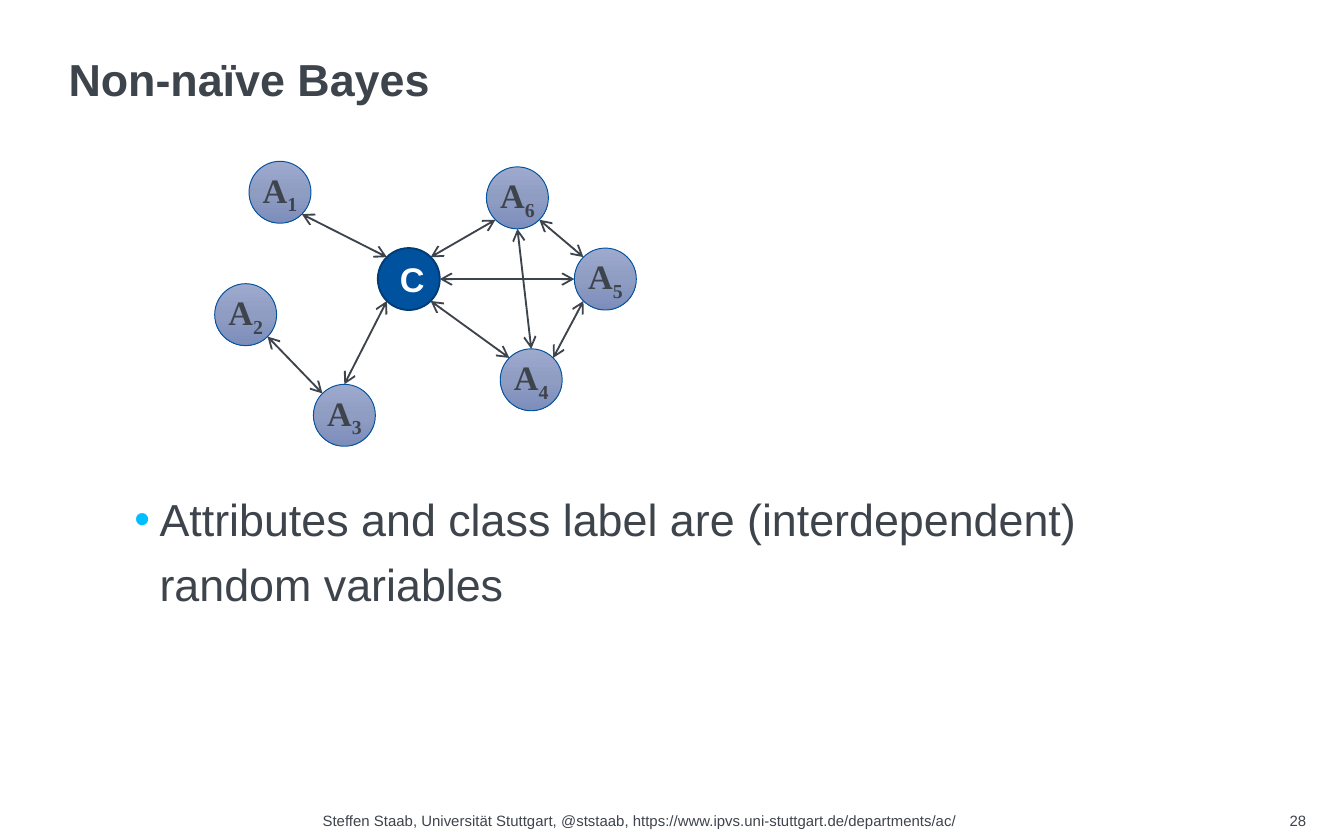
from copy import deepcopy
from math import sqrt

from lxml import etree
from pptx import Presentation
from pptx.dml.color import RGBColor
from pptx.enum.shapes import MSO_CONNECTOR, MSO_SHAPE
from pptx.enum.text import MSO_ANCHOR, MSO_AUTO_SIZE, PP_ALIGN
from pptx.oxml.ns import qn
from pptx.util import Pt

LEFT, MID, RIGHT = PP_ALIGN.LEFT, PP_ALIGN.CENTER, PP_ALIGN.RIGHT
TOP, CENTER = MSO_ANCHOR.TOP, MSO_ANCHOR.MIDDLE
NO_FIT = MSO_AUTO_SIZE.NONE
OVAL, LINE = MSO_SHAPE.OVAL, MSO_CONNECTOR.STRAIGHT

INK = RGBColor(0x3E, 0x44, 0x4C)
WHITE = RGBColor(0xFF, 0xFF, 0xFF)
BLUE = RGBColor(0x00, 0x51, 0x9E)
NAVY = RGBColor(0x00, 0x3C, 0x75)
CYAN = RGBColor(0x00, 0xBE, 0xFF)
SHADES = [RGBColor(0x9D, 0xA9, 0xCD), RGBColor(0x90, 0x9D, 0xC3),
          RGBColor(0x7C, 0x8D, 0xBB)]

SIZE = 33.2  # node diameter
# Node centres, relative to the graph box
NODES = {"C": (104, 63.5), "A1": (35, 17), "A2": (16.6, 82.6), "A3": (69.5, 136.5),
         "A4": (169.6, 117.5), "A5": (209.3, 63.5), "A6": (162.2, 20)}
# Each link: node and side at both ends
LINKS = [("A1", "se", "C", "nw"), ("A2", "se", "A3", "nw"), ("A3", "n", "C", "sw"),
         ("A4", "nw", "C", "se"), ("A4", "ne", "A5", "sw"), ("C", "ne", "A6", "sw"),
         ("A5", "w", "C", "e"), ("A5", "nw", "A6", "se"), ("A4", "n", "A6", "s")]


def write(shape, text, sub="", size=24, font="Arial", color=INK, bold=False,
          align=LEFT, anchor=TOP, wrap=True, space=1.0, inset=0):
    frame = shape.text_frame
    frame.auto_size, frame.word_wrap = NO_FIT, wrap
    frame.vertical_anchor = anchor
    frame.margin_left = Pt(inset)
    frame.margin_top = frame.margin_right = frame.margin_bottom = 0
    para = frame.paragraphs[0]
    para.alignment, para.line_spacing, para.space_before = align, space, Pt(0)
    for part in filter(None, (text, sub)):
        run = para.add_run()
        run.text = part
        run.font.size, run.font.name, run.font.bold = Pt(size), font, bold
        run.font.color.rgb = color
    if sub:
        run.font._element.set("baseline", "-25000")
    return para


def place(shape, box):
    shape.left, shape.top, shape.width, shape.height = map(Pt, box)
    return shape


def add_bullet(para, indent):
    props = para._p.get_or_add_pPr()
    props.set("marL", str(Pt(indent)))
    props.set("indent", str(-Pt(indent)))
    color = etree.SubElement(props, qn("a:buClr"))
    etree.SubElement(color, qn("a:srgbClr"), val=str(CYAN))
    etree.SubElement(props, qn("a:buFont"), typeface="Arial")
    etree.SubElement(props, qn("a:buChar"), char="•")


def shade(shape):
    fill = shape.fill
    fill.gradient()
    fill.gradient_angle = 270
    stops = shape._element.spPr.find(".//" + qn("a:gsLst"))
    stops.insert(1, deepcopy(stops[0]))
    for stop, color, pos in zip(fill.gradient_stops, SHADES, (0, 0.5, 1)):
        stop.color.rgb, stop.position = color, pos


def add_node(slide, name, x, y):
    node = slide.shapes.add_shape(
        OVAL, *map(Pt, (x - SIZE / 2, y - SIZE / 2, SIZE, SIZE)))
    node.shadow.inherit = False
    style = dict(size=18.3, bold=True, align=MID, anchor=CENTER, wrap=False)
    if name == "C":
        node.fill.solid()
        node.fill.fore_color.rgb = BLUE
        node.line.color.rgb, node.line.width = NAVY, Pt(1)
        write(node, name, color=WHITE, inset=3.6, **style)
    else:
        shade(node)
        node.line.color.rgb, node.line.width = BLUE, Pt(0.5)
        write(node, name[0], sub=name[1], font="Times New Roman", **style)


def rim(center, side):
    """Point on a node's rim in a compass direction."""
    reach = SIZE / 2 / sqrt(len(side))
    return (center[0] + reach * (("e" in side) - ("w" in side)),
            center[1] + reach * (("s" in side) - ("n" in side)))


def add_link(slide, start, end):
    link = slide.shapes.add_connector(LINE, *map(Pt, (*start, *end)))
    link.line.color.rgb, link.line.width = INK, Pt(1)
    edge = link.line._get_or_add_ln()
    for tip in ("a:headEnd", "a:tailEnd"):
        etree.SubElement(edge, qn(tip), type="arrow")
    etree.SubElement(link._element.spPr, qn("a:effectLst"))


def add_graph(slide, left, top):
    spots = {name: (left + x, top + y) for name, (x, y) in NODES.items()}
    for name, spot in spots.items():
        add_node(slide, name, *spot)
    for first, out, last, into in LINKS:
        add_link(slide, rim(spots[first], out), rim(spots[last], into))


def add_title(slide, box):
    write(place(slide.shapes.title, box), "Non-naïve Bayes", bold=True, space=0.9)


def add_body(slide, box):
    body = place(slide.placeholders[1], box)
    para = write(body, "Attributes and class label are (interdependent) random variables",
                 space=1.2)
    add_bullet(para, 13.5)


def add_footer(slide, left, top, width, height):
    note = slide.shapes.add_textbox(*map(Pt, (left, top, 425, height)))
    write(note, "Steffen Staab, Universität Stuttgart, @ststaab, "
                "https://www.ipvs.uni-stuttgart.de/departments/ac/", size=8)
    page = slide.shapes.add_textbox(*map(Pt, (left + width - 90, top, 90, height)))
    write(page, "28", size=8, align=RIGHT)


def main():
    deck = Presentation()
    deck.slide_width, deck.slide_height = Pt(720), Pt(450)
    slide = deck.slides.add_slide(deck.slide_layouts[1])
    add_title(slide, (36.7, 31, 649.5, 45.4))
    add_body(slide, (72, 257.8, 581, 127.4))
    add_graph(slide, 115, 86)
    add_footer(slide, 172.8, 435, 527, 9.4)
    deck.save("out.pptx")


if __name__ == "__main__":
    main()
